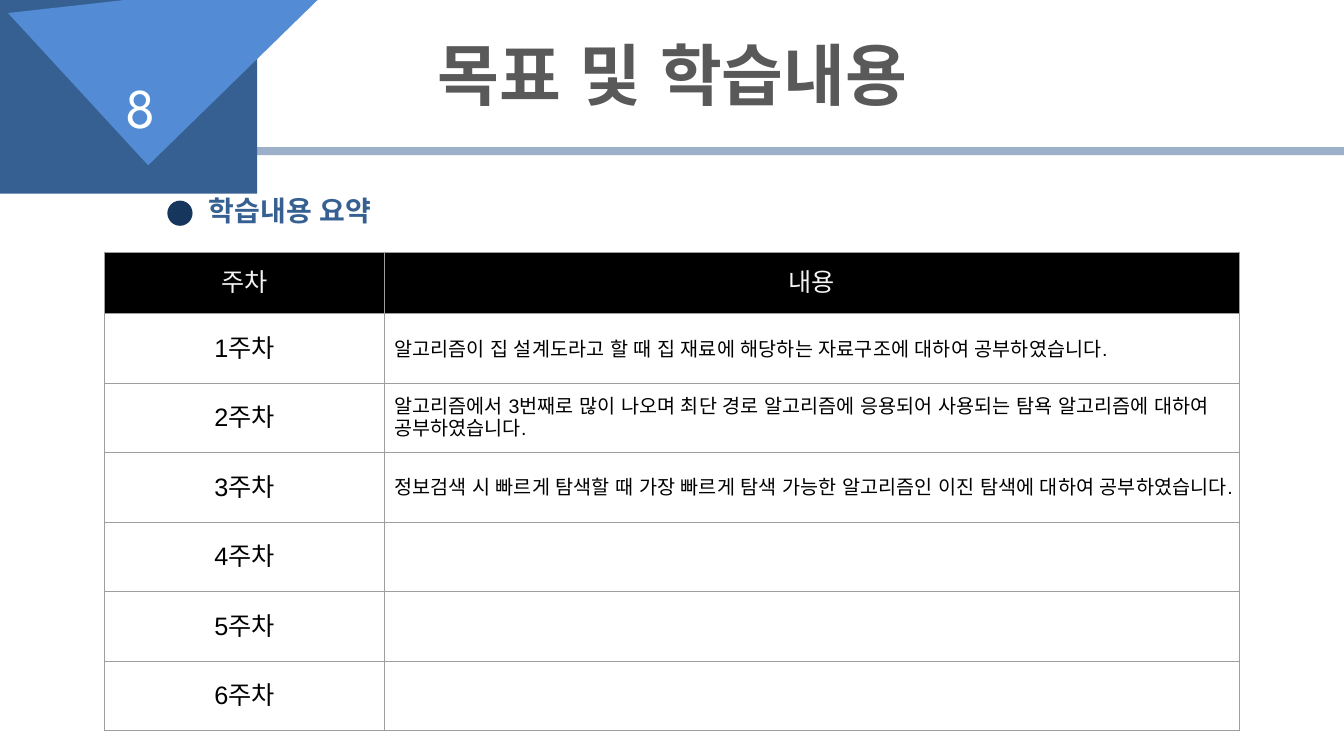
from dataclasses import dataclass

from lxml.etree import SubElement
from pptx import Presentation
from pptx.dml.color import RGBColor
from pptx.enum.shapes import MSO_SHAPE
from pptx.enum.text import MSO_ANCHOR, MSO_AUTO_SIZE, PP_ALIGN
from pptx.oxml.ns import qn
from pptx.util import Inches, Pt


@dataclass(frozen=True)
class Theme:
    navy: str = "366092"
    sky: str = "538CD5"
    dot: str = "17365D"
    gray: str = "595959"
    black: str = "000000"
    pale: str = "F3F3F3"
    white: str = "FEFFFF"
    edge: str = "9E9E9E"
    font: str = "Arial"
    digit: str = "League Spartan"
    title: int = 48
    number: int = 40
    head: int = 20
    label: int = 18
    body: int = 14


WEEKS = [
    "알고리즘이 집 설계도라고 할 때 집 재료에 해당하는 자료구조에 대하여 공부하였습니다.",
    "알고리즘에서 3번째로 많이 나오며 최단 경로 알고리즘에 응용되어 사용되는 탐욕 알고리즘에 대하여 공부하였습니다.",
    "정보검색 시 빠르게 탐색할 때 가장 빠르게 탐색 가능한 알고리즘인 이진 탐색에 대하여 공부하였습니다.",
    "", "", "",
]


def write(frame, text, size, color, font=Theme.font, bold=False,
          align=PP_ALIGN.LEFT, space=None):
    par = frame.paragraphs[0]
    par.alignment = align
    if space:
        par.line_spacing = space
    run = par.add_run()
    run.text = text
    run.font.size = Pt(size)
    run.font.name = font
    run.font.bold = bold
    run.font.color.rgb = RGBColor.from_string(color)
    SubElement(run.font._element, qn("a:ea"), typeface=font)


class Board:
    def __init__(self, deck, theme):
        self.theme = theme
        self.slide = deck.slides.add_slide(deck.slide_layouts[5])
        self.shapes = self.slide.shapes

    def paint(self, shape, color, alpha=None):
        """Fill a shape flat, with an optional opacity in percent."""
        shape.shadow.inherit = False
        shape.fill.solid()
        shape.fill.fore_color.rgb = RGBColor.from_string(color)
        shape.line.fill.background()
        if alpha:
            tint = shape.fill._xPr.find(".//" + qn("a:srgbClr"))
            SubElement(tint, qn("a:alpha"), val=str(alpha * 1000))

    def shape(self, kind, box, color, alpha=None, home=None):
        item = (home or self.shapes).add_shape(kind, *map(Inches, box))
        self.paint(item, color, alpha)

    def outline(self, points, color):
        spots = [(Inches(x), Inches(y)) for x, y in points]
        form = self.shapes.build_freeform(*spots[0])
        form.add_line_segments(spots[1:], close=True)
        self.paint(form.convert_to_shape(), color)

    def frame(self, shape, anchor):
        frame = shape.text_frame
        frame.word_wrap = True
        frame.auto_size = MSO_AUTO_SIZE.NONE
        frame.vertical_anchor = anchor
        return frame

    def title(self, text, box):
        item = self.shapes.title
        item.left, item.top, item.width, item.height = map(Inches, box)
        write(self.frame(item, MSO_ANCHOR.TOP), text, self.theme.title,
              self.theme.gray, bold=True, align=PP_ALIGN.CENTER, space=0.9)

    def text(self, text, box, anchor=MSO_ANCHOR.TOP, home=None, **style):
        item = (home or self.shapes).add_textbox(*map(Inches, box))
        write(self.frame(item, anchor), text, **style)

    def cell(self, cell, text, fill=None, **style):
        cell.vertical_anchor = MSO_ANCHOR.MIDDLE
        cell.margin_left = cell.margin_right = Inches(0.1)
        cell.margin_top = cell.margin_bottom = Inches(0.1)
        props = cell._tc.get_or_add_tcPr()
        for side in ("lnL", "lnR", "lnT", "lnB"):
            line = SubElement(props, qn("a:" + side), w=str(Pt(0.75)))
            solid = SubElement(line, qn("a:solidFill"))
            SubElement(solid, qn("a:srgbClr"), val=self.theme.edge)
        if fill:
            cell.fill.solid()
            cell.fill.fore_color.rgb = RGBColor.from_string(fill)
        else:
            cell.fill.background()
        if text:
            write(cell.text_frame, text, **style)

    def table(self, left, top, cols, head, row, names, notes):
        look = self.theme
        high = head + row * len(notes)
        grid = self.shapes.add_table(
            len(notes) + 1, len(cols), Inches(left), Inches(top),
            Inches(sum(cols)), Inches(high)).table
        for col, wide in zip(grid.columns, cols):
            col.width = Inches(wide)
        grid.rows[0].height = Inches(head)
        mid = dict(size=look.label, align=PP_ALIGN.CENTER)
        for col, name in enumerate(names):
            self.cell(grid.cell(0, col), name, look.black,
                      color=look.pale, **mid)
        for week, note in enumerate(notes, 1):
            grid.rows[week].height = Inches(row)
            self.cell(grid.cell(week, 0), f"{week}주차",
                      color=look.black, **mid)
            self.cell(grid.cell(week, 1), note, size=look.body,
                      color=look.black, space=1.15 if week == 1 else None)


def main():
    deck = Presentation()
    deck.slide_width, deck.slide_height = Inches(13.33), Inches(7.5)
    look = Theme()
    board = Board(deck, look)
    board.shape(MSO_SHAPE.RECTANGLE, (1.36, 1.46, 11.97, 0.08), look.navy, 49)
    board.shape(MSO_SHAPE.RECTANGLE, (0, 0, 2.55, 1.92), look.navy)
    board.outline([(0.08, 0.13), (1.24, 0), (3.15, 0), (1.47, 1.64)], look.sky)
    board.title("목표 및 학습내용", (2.82, 0.37, 7.7, 1.29))
    board.text("8", (1.01, 0.85, 0.64, 0.4), MSO_ANCHOR.MIDDLE,
               size=look.number, color=look.white, font=look.digit,
               align=PP_ALIGN.RIGHT)
    group = board.shapes.add_group_shape().shapes
    board.text("학습내용 요약", (1.97, 1.91, 3.46, 0.62), home=group,
               size=look.head, color=look.navy, bold=True, space=0.9)
    board.shape(MSO_SHAPE.OVAL, (1.66, 1.99, 0.25, 0.25), look.dot, home=group)
    board.table(1.04, 2.5, (2.77, 8.48), 0.61, 0.69, ("주차", "내용"), WEEKS)
    deck.save("out.pptx")


if __name__ == "__main__":
    main()
